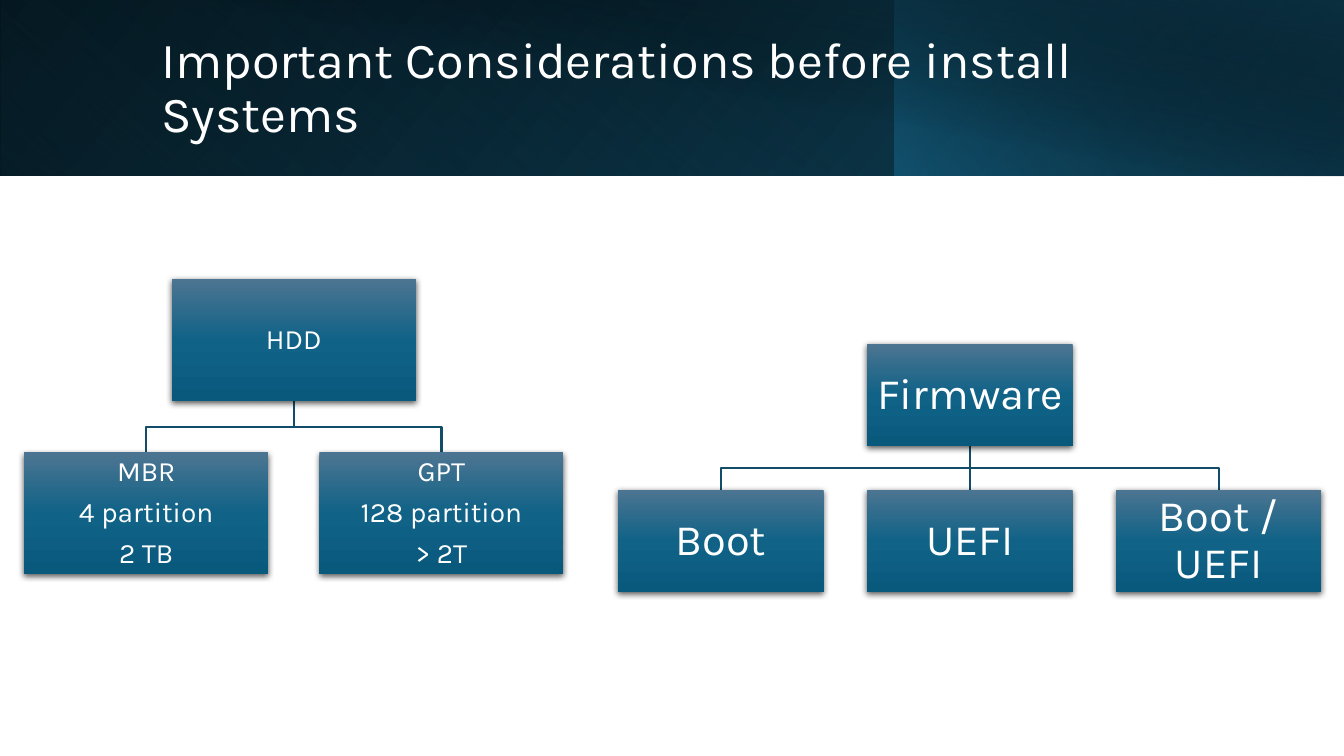
from lxml import etree
from pptx import Presentation
from pptx.dml.color import RGBColor
from pptx.enum.shapes import MSO_CONNECTOR, MSO_SHAPE
from pptx.enum.text import MSO_ANCHOR, MSO_AUTO_SIZE, PP_ALIGN
from pptx.oxml.ns import qn
from pptx.util import Inches, Pt

RECT = MSO_SHAPE.RECTANGLE
STRAIGHT = MSO_CONNECTOR.STRAIGHT
MIDDLE = MSO_ANCHOR.MIDDLE
NO_FIT = MSO_AUTO_SIZE.NONE
LEFT, CENTER = PP_ALIGN.LEFT, PP_ALIGN.CENTER
FONT, WHITE, LINE = "Karla", "FFFFFF", "114D68"
BOX_STOPS = [(0, "4C7591"), (50, "106287"), (100, "09597D")]


def rgb(value):
    """Turn a hex string into a colour."""
    return RGBColor.from_string(value)


def add_xml_color(parent, value, alpha=100):
    """Add a colour element with its opacity in percent."""
    clr = etree.SubElement(parent, qn("a:srgbClr"), val=value)
    if alpha < 100:
        etree.SubElement(clr, qn("a:alpha"), val=str(alpha * 1000))


def set_gradient(shape, stops, angle):
    """Fill a shape with a linear gradient of (position, colour, opacity) stops."""
    shape.fill.background()
    grad = etree.Element(qn("a:gradFill"), rotWithShape="1")
    stop_list = etree.SubElement(grad, qn("a:gsLst"))
    for pos, *color in stops:
        stop = etree.SubElement(stop_list, qn("a:gs"), pos=str(pos * 1000))
        add_xml_color(stop, *color)
    etree.SubElement(grad, qn("a:lin"), ang=str(angle * 60000), scaled="0")
    spPr = shape._element.spPr
    spPr.replace(spPr.find(qn("a:noFill")), grad)


def add_rect(s, left, top, width, height, stops, angle):
    """Add a borderless rectangle with a gradient."""
    sp = s.shapes.add_shape(RECT, Inches(left), Inches(top), Inches(width), Inches(height))
    sp.shadow.inherit = False
    sp.line.fill.background()
    set_gradient(sp, stops, angle)
    return sp


def add_band(s, left, width, height, stops, angle, rotation=0, flip=True):
    """Add one layer of the header background."""
    sp = add_rect(s, left, 0, width, height, stops, angle)
    sp.rotation = rotation
    if flip:
        sp._element.spPr.find(qn("a:xfrm")).set("flipH", "1")


def set_text(tf, text, size, align=CENTER, margin=None, space=0):
    """Write lines of text into a frame."""
    tf.word_wrap = True
    tf.auto_size = NO_FIT
    tf.vertical_anchor = MIDDLE
    if margin is not None:
        tf.margin_left = tf.margin_right = tf.margin_top = tf.margin_bottom = Inches(margin)
    for i, line in enumerate(text.split("\n")):
        p = tf.add_paragraph() if i else tf.paragraphs[0]
        p.alignment = align
        p.line_spacing = 0.9
        p.space_before = Pt(0)
        p.space_after = Pt(space)
        r = p.add_run()
        r.text = line
        r.font.size = Pt(size)
        r.font.name = FONT
        r.font.color.rgb = rgb(WHITE)


def add_box(s, left, top, width, text, size):
    """Add a shadowed box, half as high as wide, with centred text."""
    sp = add_rect(s, left, top, width, width / 2, BOX_STOPS, 90)
    shadow = etree.SubElement(
        sp._element.spPr.find(qn("a:effectLst")), qn("a:outerShdw"),
        blurRad=str(Pt(4.5)), dist=str(Pt(1.5)), dir="5400000", rotWithShape="0")
    add_xml_color(shadow, "000000", 63)
    set_text(sp.text_frame, text, size, margin=0.01, space=size * 0.4)


def add_branch(s, x1, y1, x2, y2):
    """Join a root to a child, with an elbow halfway if they are not aligned."""
    x1, y1, x2, y2 = (Inches(v) for v in (x1, y1, x2, y2))
    if x1 == x2:
        line = s.shapes.add_connector(STRAIGHT, x1, y1, x2, y2)
        etree.SubElement(line._element.spPr, qn("a:effectLst"))
    else:
        mid = (y1 + y2) // 2
        builder = s.shapes.build_freeform(x1, y1)
        builder.add_line_segments([(x1, mid), (x2, mid), (x2, y2)], close=False)
        line = builder.convert_to_shape()
        line.fill.background()
        line.shadow.inherit = False
    line.line.color.rgb = rgb(LINE)
    line.line.width = Pt(1.5)


def add_tree(s, left, top, width, root, children, size):
    """Add a root box centred above a row of child boxes."""
    gap = 0.21 * width
    step = width + gap
    root_left = left + step * (len(children) - 1) / 2
    bottom = top + width / 2
    lefts = [left + i * step for i in range(len(children))]
    for child_left in lefts:
        add_branch(s, root_left + width / 2, bottom, child_left + width / 2, bottom + gap)
    add_box(s, root_left, top, width, root, size)
    for child_left, text in zip(lefts, children):
        add_box(s, child_left, bottom + gap, width, text, size)


def add_title(s, text):
    """Place the title placeholder over the header."""
    title = s.shapes.title
    title.left, title.top = Inches(1.5), Inches(0.32)
    title.width, title.height = Inches(11.05), Inches(1.13)
    set_text(title.text_frame, text, 36, align=LEFT)
    s.shapes._spTree.append(title._element)


def main():
    """Build the slide and save it."""
    prs = Presentation()
    prs.slide_width, prs.slide_height = Inches(13.33), Inches(7.5)
    s = prs.slides.add_slide(prs.slide_layouts[5])
    add_band(s, 0, 13.33, 1.74, [(0, "000000"), (100, "104862")], 140)
    add_band(s, 0, 8.88, 1.74, [(20, "156082", 0), (100, "0B3041", 55)], 230, rotation=180)
    add_band(s, 8.87, 4.46, 1.74, [(0, "156082", 66), (100, "000000", 30)], 220)
    add_band(s, 0.5, 12.83, 1.75, [(50, "000000", 0), (99, "0B3041", 52)], 280, flip=False)
    add_title(s, "Important Considerations before install Systems")
    add_tree(s, 0.24, 2.77, 2.42, "HDD",
             ["MBR\n4 partition\n2 TB", "GPT\n128 partition\n> 2T"], 20)
    add_tree(s, 6.13, 3.41, 2.04, "Firmware", ["Boot", "UEFI", "Boot / UEFI"], 31)
    prs.save("out.pptx")


if __name__ == "__main__":
    main()
